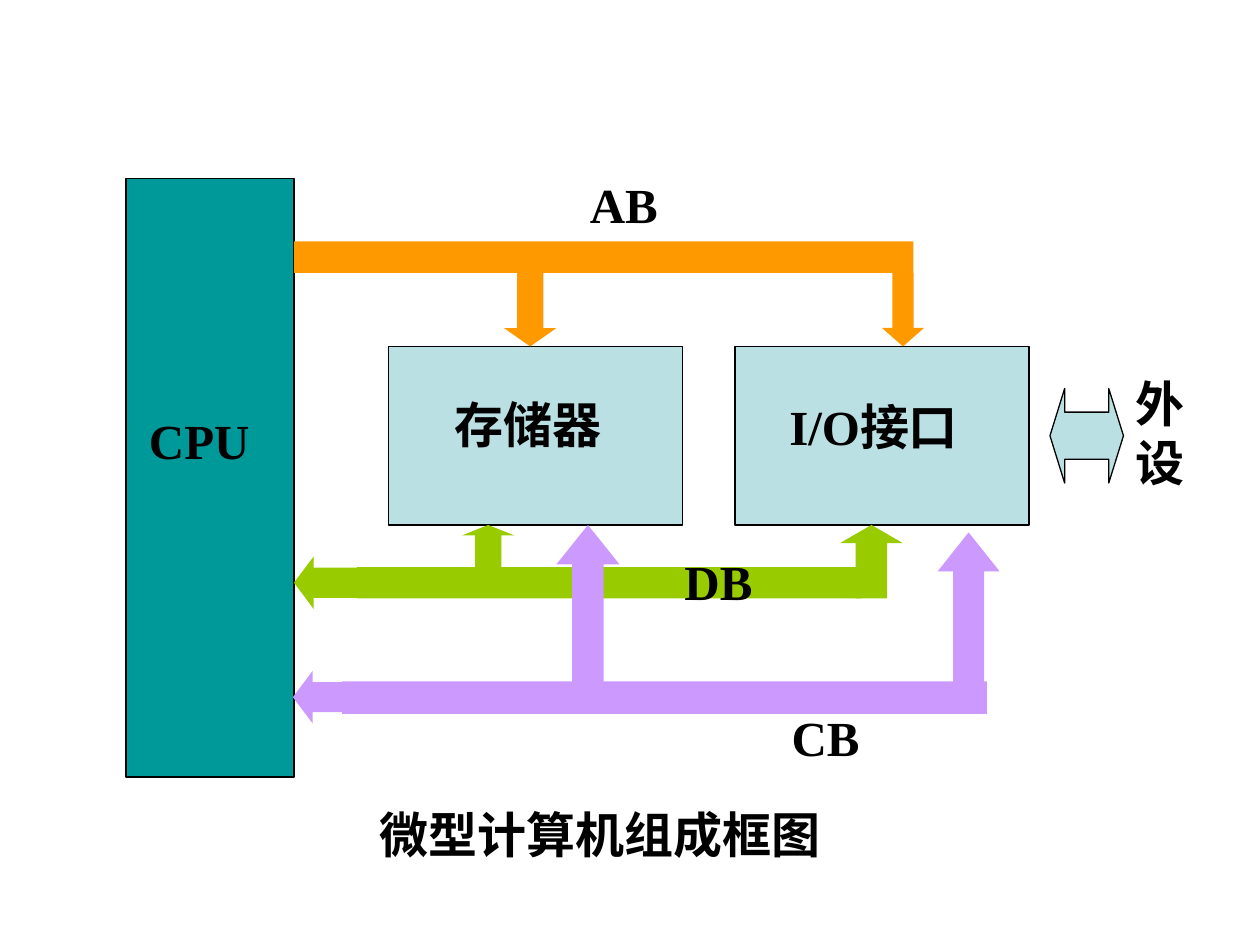
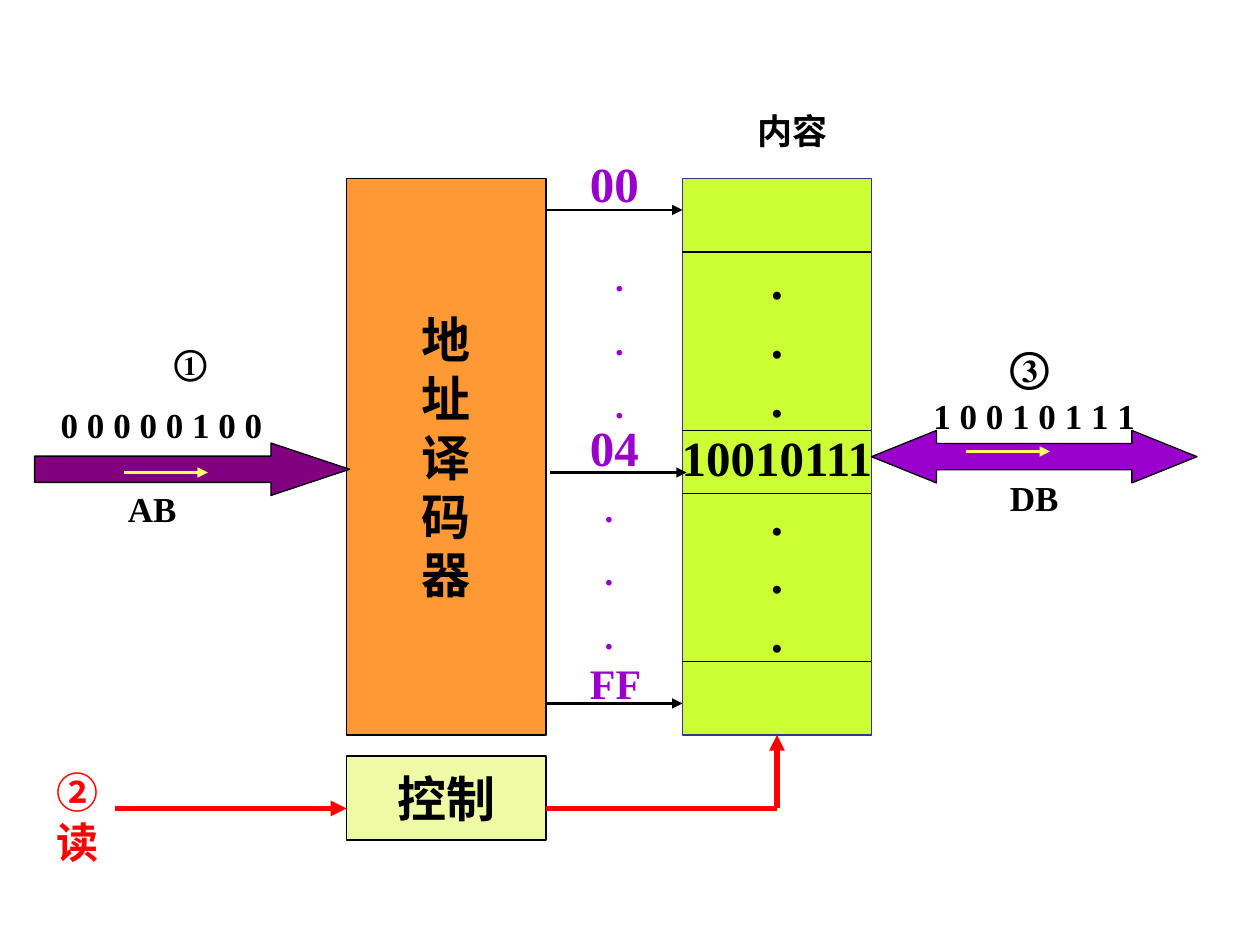
from pptx import Presentation
from pptx.dml.color import RGBColor
from pptx.enum.shapes import MSO_CONNECTOR, MSO_SHAPE as Kind
from pptx.enum.text import MSO_ANCHOR as Anchor, PP_ALIGN as Align
from pptx.oxml.ns import qn
from pptx.util import Pt
from lxml.etree import SubElement

PX = 7620  # 120 px to the inch
hue = RGBColor.from_string
BLACK, RED, YELLOW, VIOLET = "000000", "FF0000", "FFFF66", "9900CC"
TEAL, PALE, ORANGE, GREEN, LILAC = "009999", "BBE0E3", "FF9900", "99CC00", "CC99FF"
FACE = "Times New Roman"


def put(page, kind, at, fill=None, edge=None, adj=(), rows=(), size=28,
        ink=BLACK, gap=0, mid=False):
    """Add a preset shape, or a text box when kind is None."""
    at = [n * PX for n in at]
    if kind is None:
        item = page.shapes.add_textbox(*at)
    else:
        item = page.shapes.add_shape(kind, *at)
        item.shadow.inherit = False
        item.fill.solid()
        item.fill.fore_color.rgb = hue(fill)
        if edge:
            item.line.color.rgb = hue(edge)
            item.line.width = Pt(0.75)
        else:
            item.line.fill.background()
        for i, val in enumerate(adj):
            item.adjustments[i] = val
    frame = item.text_frame
    frame.word_wrap = not mid
    frame.vertical_anchor = Anchor.MIDDLE if mid else Anchor.TOP
    for i, row in enumerate(rows):
        para = frame.paragraphs[0] if i == 0 else frame.add_paragraph()
        para.text = row
        para.alignment = Align.CENTER if mid or len(rows) > 1 else Align.LEFT
        if i and gap:
            para.space_before = Pt(gap)
        para.font.name = FACE
        para.font.size = Pt(size)
        para.font.bold = True
        para.font.color.rgb = hue(ink)
    return item


def link(page, x1, y1, x2, y2, ink=BLACK, width=0.75, head=True):
    """Add a straight line, with an arrowhead at its end if wanted."""
    wire = page.shapes.add_connector(
        MSO_CONNECTOR.STRAIGHT, x1 * PX, y1 * PX, x2 * PX, y2 * PX)
    wire.line.color.rgb = hue(ink)
    wire.line.width = Pt(width)
    if head:
        SubElement(wire.line._get_or_add_ln(), qn("a:tailEnd"), type="triangle")
    SubElement(wire._element.spPr, qn("a:effectLst"))
    return wire


deck = Presentation()
deck.slide_width, deck.slide_height = 1200 * PX, 900 * PX
blank = deck.slide_layouts[6]

# Slide 1: block diagram of the computer
page = deck.slides.add_slide(blank)
put(page, Kind.RECTANGLE, (120, 170, 160, 570), TEAL, BLACK)
for x in (370, 700):
    put(page, Kind.RECTANGLE, (x, 330, 280, 170), PALE, BLACK)

# Data, control and address buses
for kind, at, fill, adj in (
    (Kind.LEFT_ARROW, (280, 530, 60, 50), GREEN, (0.575, 0.375)),
    (Kind.RECTANGLE, (340, 540, 480, 30), GREEN, ()),
    (Kind.UP_ARROW, (440, 500, 50, 40), GREEN, (0.5, 0.25)),
    (Kind.UP_ARROW, (800, 500, 60, 70), GREEN, (0.5, 0.29)),
    (Kind.RECTANGLE, (326, 649, 614, 31), LILAC, ()),
    (Kind.UP_ARROW, (530, 500, 60, 150), LILAC, (0.5, 0.625)),
    (Kind.UP_ARROW, (893, 507, 59, 150), LILAC, (0.5, 0.63)),
    (Kind.LEFT_ARROW, (279, 639, 60, 50), LILAC, (0.575, 0.375)),
    (Kind.RECTANGLE, (280, 230, 590, 30), ORANGE, ()),
    (Kind.DOWN_ARROW, (480, 260, 50, 70), ORANGE, (0.5, 0.35)),
    (Kind.DOWN_ARROW, (840, 260, 40, 70), ORANGE, (0.5, 0.44)),
):
    put(page, kind, at, fill, adj=adj)
put(page, Kind.LEFT_RIGHT_ARROW, (1000, 370, 70, 90), PALE, BLACK, (0.5, 0.2))

# Labels and caption
for word, x, y, w, h in (
    ("AB", 550, 160, 230, 68),
    ("DB", 640, 519, 100, 68),
    ("CB", 742, 668, 140, 68),
    ("CPU", 130, 385, 150, 68),
    ("存储器", 421, 370, 200, 68),
    ("I/O接口", 740, 372, 220, 68),
    ("外设", 1070, 350, 80, 125),
    ("微型计算机组成框图", 350, 760, 680, 68),
):
    put(page, None, (x, y, w, h), rows=[word])

# Slide 2: reading a memory cell
page = deck.slides.add_slide(blank)
put(page, Kind.RECTANGLE, (330, 170, 190, 530), "FF9933", BLACK,
    rows="地址译码器", mid=True)
cells = put(page, Kind.RECTANGLE, (650, 170, 180, 530), "CCFF33", "333399",
            rows=[*"...", "10010111", *"..."], mid=True)
put(page, Kind.RECTANGLE, (330, 720, 190, 80), "EEFAA4", BLACK,
    rows=["控制"], mid=True)
put(page, None, (710, 98, 110, 53), rows=["内容"], size=20)

# Cell borders and address lines
for y in (240, 410, 470, 630):
    link(page, 650, y, 830, y, head=False)
for x, y in ((520, 200), (524, 450), (520, 670)):
    link(page, x, y, x + 130, y, width=1.25)
for word, y, size in (("00", 140, 28), ("04", 392, 28), ("FF", 620, 24)):
    put(page, None, (550, y, 80, 68), rows=[word], size=size, ink=VIOLET)
for x, y in ((550, 238), (540, 458)):
    put(page, None, (x, y, 80, 174), rows="...", size=20, ink=VIOLET, gap=12.5)

# Read signal
link(page, 110, 770, 330, 770, RED, 3)
link(page, 520, 770, 740, 770, RED, 3, head=False)
link(page, 740, 770, 740, 700, RED, 3).end_connect(cells, 2)
read = put(page, None, (42, 724, 60, 108), rows=["②"], size=24, ink=RED)
para = read.text_frame.paragraphs[0]
para.runs[0].font.name = "Karla"
para.add_run().text = "读"

# Data bus
put(page, Kind.LEFT_RIGHT_ARROW, (830, 410, 310, 50), VIOLET, BLACK, (0.5, 1.24))
put(page, None, (860, 380, 250, 110), rows=["1 0 0 1 0 1 1 1", "DB"],
    size=20, gap=23, mid=True)
link(page, 920, 430, 1000, 430, YELLOW, 1.5)
put(page, None, (950, 318, 60, 60), rows=["③"], size=24)

# Address bus
put(page, Kind.RIGHT_ARROW, (33, 422, 300, 50), "800080", BLACK, (0.5, 1.5))
put(page, None, (60, 459, 170, 50), rows=["AB"], size=20, mid=True)
put(page, None, (154, 318, 60, 53), rows=["①"], size=20)
put(page, None, (46, 378, 256, 53), rows=["0 0 0 0 0 1 0 0"], size=20)
link(page, 118, 450, 198, 450, YELLOW, 1.5)

deck.save("out.pptx")
